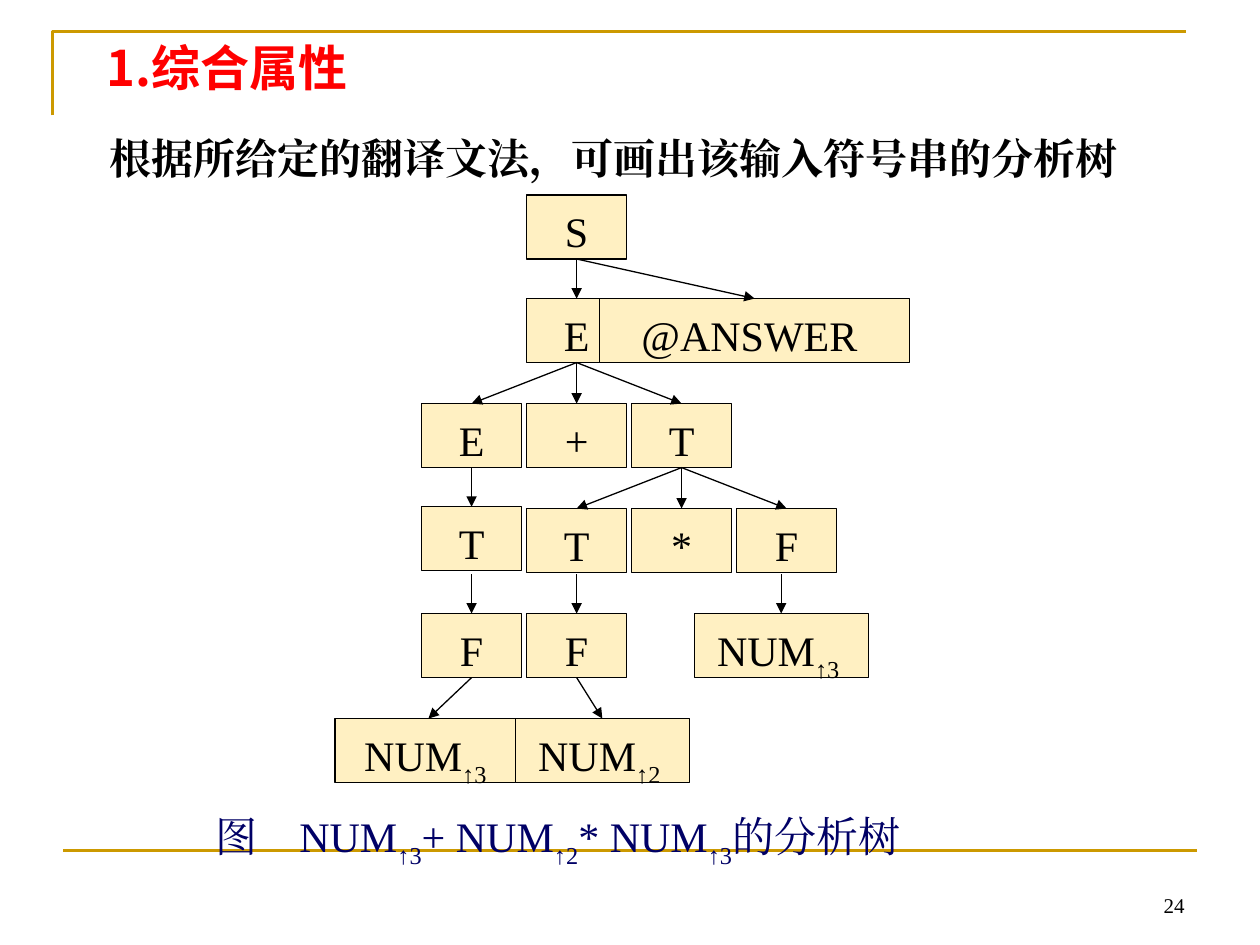
"""Build the slide showing the parse tree of a synthesized-attribute example."""
from dataclasses import dataclass
from typing import Optional

from lxml import etree
from pptx import Presentation
from pptx.dml.color import RGBColor
from pptx.enum import shapes, text
from pptx.oxml import ns
from pptx.util import Pt

COLORS = {
    "rule": "CC9900",
    "title": "FF0000",
    "ink": "000000",
    "node": "FFF0C2",
    "caption": "000066",
}
SERIF = "Times New Roman"
SANS = "Noto Sans CJK SC"
COLUMN_LEFT, COLUMN_PITCH = 241, 60
ROW_TOPS = (111.4, 170.6, 230.6, 290.6, 350.6, 410.6)
NODE_WIDTH, NODE_HEIGHT = 57, 36.6
DROP_TOP = 328.3


@dataclass(frozen=True)
class Span:
    text: str
    subscript: bool = False


@dataclass(frozen=True)
class Style:
    size: float = 24
    color: str = "ink"
    font: str = SERIF
    bold: bool = False
    align: text.PP_ALIGN = text.PP_ALIGN.LEFT
    anchor: text.MSO_ANCHOR = text.MSO_ANCHOR.TOP
    side_inset: float = 7.2
    top_inset: float = 6
    bottom_inset: float = 3


@dataclass(frozen=True)
class Node:
    name: str
    row: int
    left: float
    spans: tuple[Span, ...]
    width: float = NODE_WIDTH
    rise: float = 0


@dataclass(frozen=True)
class Edge:
    child: str
    parent: Optional[str] = None


def column(index: int) -> float:
    """Return the left edge of a tree column."""
    return COLUMN_LEFT + COLUMN_PITCH * index


def symbol(name: str, row: int, index: int, label: str, rise: float = 0) -> Node:
    """Describe a grammar symbol standing in a tree column."""
    return Node(name, row, column(index), (Span(label),), rise=rise)


def number(name: str, row: int, left: float, width: float, value: int) -> Node:
    """Describe a NUM leaf with its synthesized value."""
    return Node(name, row, left, (Span("NUM"), Span(f"↑{value} ", True)), width)


NODES = (
    symbol("left E", 2, 0, "E"),
    symbol("left T", 3, 0, "T", rise=1),
    symbol("left F", 4, 0, "F"),
    symbol("S", 0, 1, "S"),
    symbol("E", 1, 1, "E"),
    symbol("T", 2, 2, "T"),
    symbol("plus", 2, 1, "+"),
    Node("answer", 1, 342.7, (Span("@ANSWER "),), 177.1),
    symbol("right F", 3, 3, "F"),
    symbol("times", 3, 2, "*"),
    symbol("inner T", 3, 1, "T"),
    number("left NUM", 5, 191.5, 106.6, 3),
    symbol("inner F", 4, 1, "F"),
    number("inner NUM", 5, 294.5, 99.4, 2),
    number("right NUM", 4, 396.7, 99.4, 3),
)
EDGES = (
    Edge("E", "S"), Edge("answer", "S"),
    Edge("left E", "E"), Edge("plus", "E"), Edge("T", "E"),
    Edge("inner T", "T"), Edge("times", "T"), Edge("right F", "T"),
    Edge("left T", "left E"), Edge("left F"), Edge("inner F"), Edge("right NUM"),
    Edge("left NUM", "left F"), Edge("inner NUM", "inner F"),
)


def rgb(name: str) -> RGBColor:
    """Look up a palette colour."""
    return RGBColor.from_string(COLORS[name])


def write(frame, spans: tuple[Span, ...], style: Style) -> None:
    """Fill a text frame run by run."""
    frame.word_wrap = True
    frame.vertical_anchor = style.anchor
    frame.margin_left = frame.margin_right = Pt(style.side_inset)
    frame.margin_top, frame.margin_bottom = Pt(style.top_inset), Pt(style.bottom_inset)
    paragraph = frame.paragraphs[0]
    paragraph.alignment = style.align
    for span in spans:
        run = paragraph.add_run()
        run.text = span.text
        run.font.size = Pt(style.size)
        run.font.bold = style.bold
        run.font.color.rgb = rgb(style.color)
        run.font.name = style.font
        properties = run.font._element
        etree.SubElement(properties, ns.qn("a:ea")).set("typeface", style.font)
        if span.subscript:
            properties.set("baseline", "-30000")


def add_text(slide, left: float, top: float, width: float,
             spans: tuple[Span, ...], style: Style) -> None:
    """Add a one-line text box."""
    shape = slide.shapes.add_textbox(Pt(left), Pt(top), Pt(width), Pt(36))
    write(shape.text_frame, spans, style)


def add_node(slide, node: Node):
    """Add one tree node and return its rectangle."""
    shape = slide.shapes.add_shape(
        shapes.MSO_SHAPE.RECTANGLE, Pt(node.left), Pt(ROW_TOPS[node.row] - node.rise),
        Pt(node.width), Pt(NODE_HEIGHT))
    shape.shadow.inherit = False
    shape.fill.solid()
    shape.fill.fore_color.rgb = rgb("node")
    shape.line.color.rgb = rgb("ink")
    shape.line.width = Pt(0.75)
    write(shape.text_frame, node.spans, Style(align=text.PP_ALIGN.CENTER, side_inset=0))
    return shape


def add_line(slide, begin_x: int, begin_y: int, end_x: int, end_y: int,
             color: str, width: float):
    """Add a straight line without shadow."""
    connector = slide.shapes.add_connector(
        shapes.MSO_CONNECTOR.STRAIGHT, begin_x, begin_y, end_x, end_y)
    connector.line.color.rgb = rgb(color)
    connector.line.width = Pt(width)
    etree.SubElement(connector._element.spPr, ns.qn("a:effectLst"))
    return connector


def add_edge(slide, edge: Edge, boxes: dict) -> None:
    """Add an arrow to a child from its parent or from straight above."""
    child = boxes[edge.child]
    middle = child.left + child.width // 2
    connector = add_line(slide, middle, Pt(DROP_TOP), middle, child.top, "ink", 0.75)
    if edge.parent:
        connector.begin_connect(boxes[edge.parent], 2)
    connector.end_connect(child, 0)
    line = connector.line._get_or_add_ln()
    etree.SubElement(line, ns.qn("a:tailEnd")).set("type", "triangle")


def add_frame(slide) -> None:
    """Add the gold corner and the gold footer rule."""
    builder = slide.shapes.build_freeform(Pt(30), Pt(66))
    builder.add_line_segments(((Pt(30), Pt(18)), (Pt(678), Pt(18))), close=False)
    corner = builder.convert_to_shape()
    corner.shadow.inherit = False
    corner.fill.background()
    corner.line.color.rgb = rgb("rule")
    corner.line.width = Pt(1.5)
    add_line(slide, Pt(36), Pt(486), Pt(684), Pt(486), "rule", 1.5)


def main() -> None:
    """Create the presentation and save it."""
    presentation = Presentation()
    presentation.slide_width, presentation.slide_height = Pt(720), Pt(540)
    slide = presentation.slides.add_slide(presentation.slide_layouts[6])
    add_frame(slide)
    add_text(slide, 516, 492, 168, (Span("24"),), Style(
        size=12, align=text.PP_ALIGN.RIGHT, anchor=text.MSO_ANCHOR.BOTTOM,
        top_inset=3.6, bottom_inset=3.6))
    add_text(slide, 54, 20, 612, (Span("1.综合属性"),), Style(
        28, "title", SANS, True, anchor=text.MSO_ANCHOR.MIDDLE,
        top_inset=3.6, bottom_inset=3.6))
    boxes = {node.name: add_node(slide, node) for node in NODES}
    for edge in EDGES:
        add_edge(slide, edge, boxes)
    add_text(slide, 116, 457, 482, (
        Span("图\u3000NUM".replace("\u3000", "　")), Span("↑3", True), Span("+ NUM"),
        Span("↑2", True), Span("* NUM"), Span("↑3", True), Span("的分析树"),
    ), Style(color="caption"))
    add_text(slide, 55.5, 70, 611, (
        Span("根据所给定的翻译文法，可画出该输入符号串的分析树"),), Style(bold=True))
    presentation.save("out.pptx")


if __name__ == "__main__":
    main()
